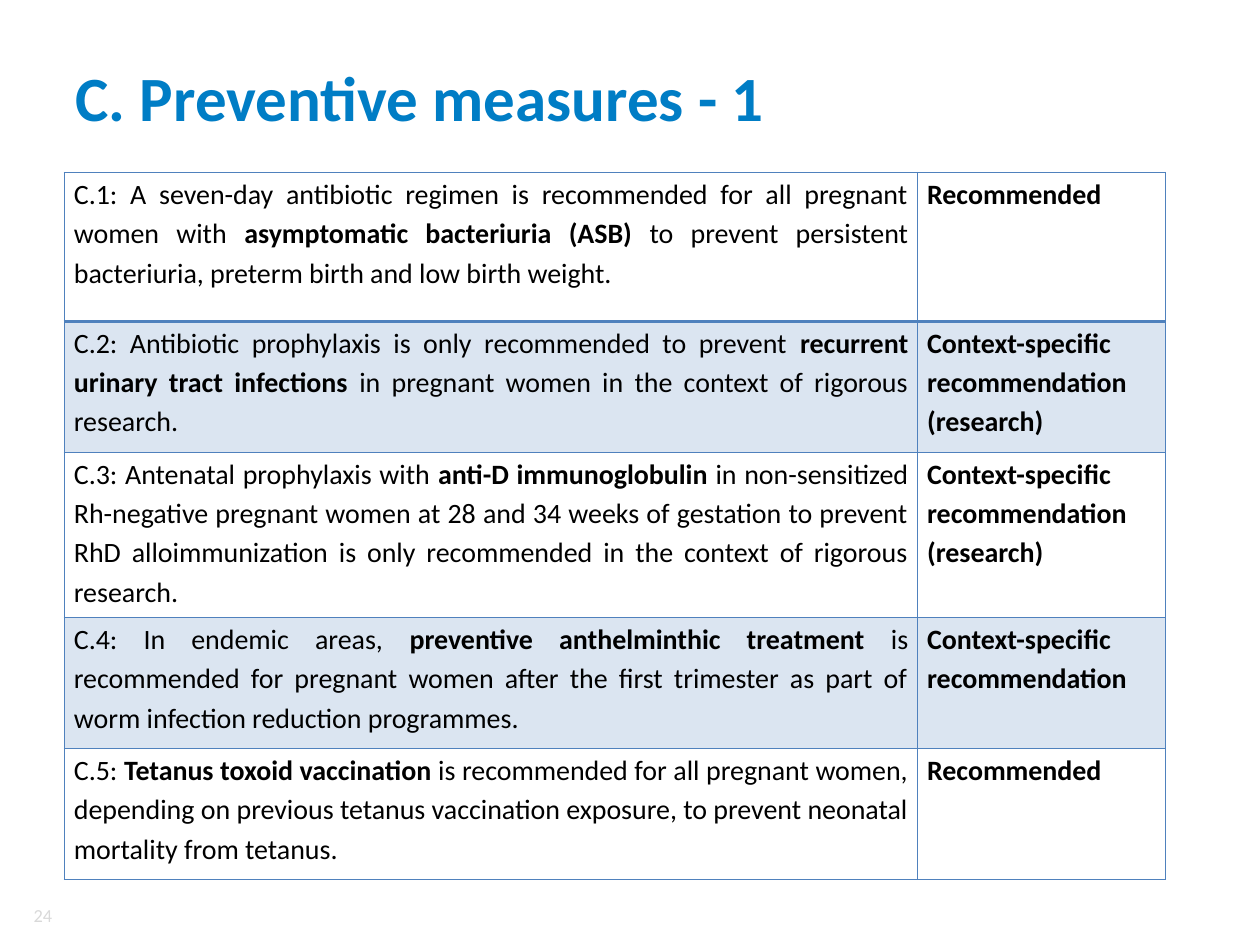
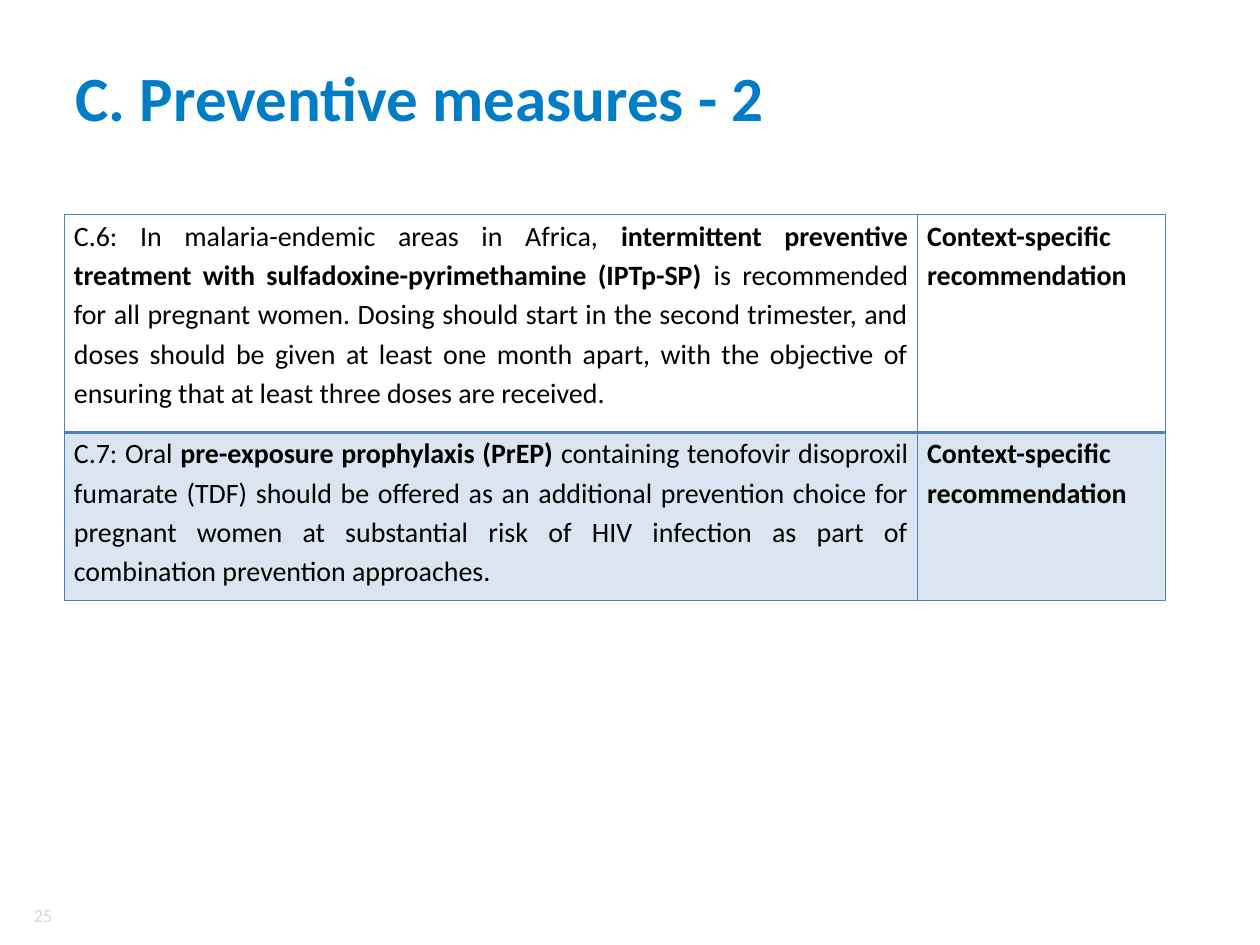
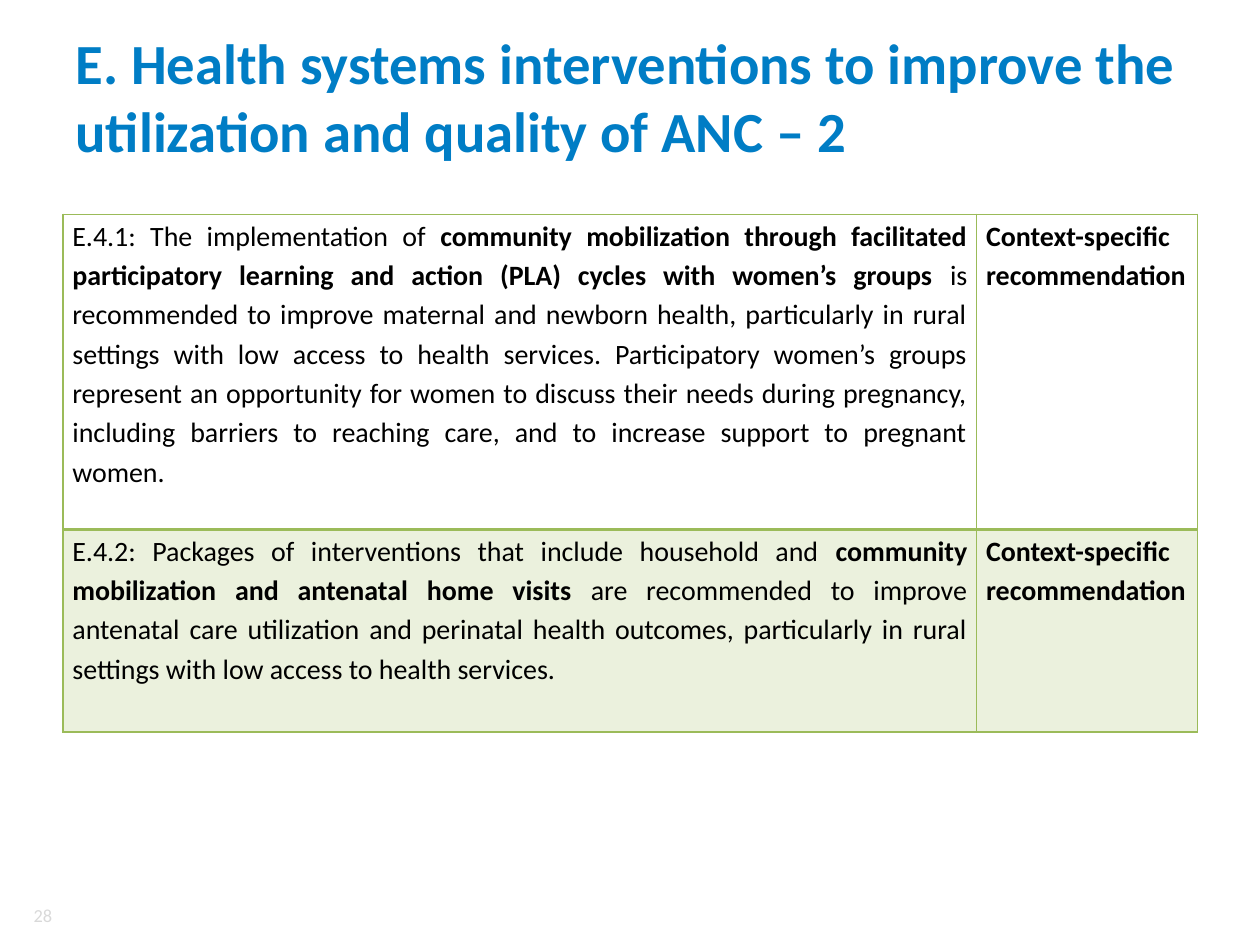
from dataclasses import dataclass

from lxml import etree
from pptx import Presentation
from pptx.dml.color import RGBColor
from pptx.enum.text import MSO_ANCHOR, MSO_AUTO_SIZE, PP_ALIGN
from pptx.oxml.ns import qn
from pptx.util import Cm, Pt

LEFT, RIGHT, JUSTIFY = PP_ALIGN.LEFT, PP_ALIGN.RIGHT, PP_ALIGN.JUSTIFY
MIDDLE = MSO_ANCHOR.MIDDLE
NO_AUTOFIT = MSO_AUTO_SIZE.NONE

# Shared style
FONT = "Calibri"
TITLE_BLUE = RGBColor(0x00, 0x7D, 0xC5)
BLACK = RGBColor(0x00, 0x00, 0x00)
PALE_GREY = RGBColor(0xD9, 0xD9, 0xD9)
BLUE = RGBColor(0x4F, 0x81, 0xBD)
GREEN = RGBColor(0x9B, 0xBB, 0x59)
BAND_ALPHA = 20
TITLE_ONLY = 5
CELL_INSET = Cm(0.19)

RECOMMENDED = "Recommended"
CONTEXT = "Context-specific recommendation"
RESEARCH = "Context-specific recommendation (research)"


@dataclass
class Row:
    height: float
    lead: str
    key: str
    rest: str
    verdict: str
    align: PP_ALIGN = LEFT


@dataclass
class Page:
    number: int
    title: str
    left: float
    top: float
    widths: tuple[float, float]
    color: RGBColor
    rows: list[Row]
    title_size: float = 36


PAGES = [
    Page(24, "C. Preventive measures - 1", 1.3, 3.48, (17.2, 5), BLUE, [
        Row(3, "C.1: A seven-day antibiotic regimen is recommended for all pregnant women with ",
            "asymptomatic bacteriuria (ASB)",
            " to prevent persistent bacteriuria, preterm birth and low birth weight.",
            RECOMMENDED, JUSTIFY),
        Row(2.64, "C.2: Antibiotic prophylaxis is only recommended to prevent ",
            "recurrent urinary tract infections",
            " in pregnant women in the context of rigorous research.", RESEARCH),
        Row(3.33, "C.3: Antenatal prophylaxis with ", "anti-D immunoglobulin ",
            "in non-sensitized Rh-negative pregnant women at 28 and 34 weeks of gestation "
            "to prevent RhD alloimmunization is only recommended in the context of "
            "rigorous research.", RESEARCH),
        Row(2.64, "C.4: In endemic areas, ", "preventive anthelminthic treatment",
            " is recommended for pregnant women after the first trimester as part of "
            "worm infection reduction programmes.", CONTEXT),
        Row(2.64, "C.5: ", "Tetanus toxoid vaccination",
            " is recommended for all pregnant women, depending on previous tetanus "
            "vaccination exposure, to prevent neonatal mortality from tetanus.",
            RECOMMENDED, JUSTIFY),
    ]),
    Page(25, "C. Preventive measures - 2", 1.3, 4.32, (17.2, 5), BLUE, [
        Row(4.39, "C.6: In malaria-endemic areas in Africa, ",
            "intermittent preventive treatment with sulfadoxine-pyrimethamine (IPTp-SP)",
            " is recommended for all pregnant women. Dosing should start in the second "
            "trimester, and doses should be given at least one month apart, with the "
            "objective of ensuring that at least three doses are received.", CONTEXT),
        Row(3.4, "C.7: Oral ", "pre-exposure prophylaxis (PrEP)",
            " containing tenofovir disoproxil fumarate (TDF) should be offered as an "
            "additional prevention choice for pregnant women at substantial risk of HIV "
            "infection as part of combination prevention approaches.", CONTEXT),
    ]),
    Page(28, "E. Health systems interventions to improve the utilization and quality of ANC – 2",
         1.27, 4.32, (18.42, 4.45), GREEN, [
        Row(6.35, "E.4.1: The implementation of ",
            "community mobilization through facilitated participatory learning and action "
            "(PLA) cycles with women’s groups",
            " is recommended to improve maternal and newborn health, particularly in rural "
            "settings with low access to health services. Participatory women’s groups "
            "represent an opportunity for women to discuss their needs during pregnancy, "
            "including barriers to reaching care, and to increase support to pregnant women.",
            CONTEXT, JUSTIFY),
        Row(4.09, "E.4.2: Packages of interventions that include household and ",
            "community mobilization and antenatal home visits ",
            "are recommended to improve antenatal care utilization and perinatal health "
            "outcomes, particularly in rural settings with low access to health services.",
            CONTEXT, JUSTIFY),
    ], title_size=32.4),
]


def add_run(p, text: str, *, size: float = 16, color: RGBColor = BLACK,
            bold: bool = False) -> None:
    r = p.add_run()
    r.text = text
    r.font.name = FONT
    r.font.size = Pt(size)
    r.font.bold = bold
    r.font.color.rgb = color


def add_title(slide, page: Page) -> None:
    sp = slide.shapes.title
    sp.left, sp.top, sp.width, sp.height = Cm(1.27), Cm(0.76), Cm(22.86), Cm(2.36)
    tf = sp.text_frame
    tf.auto_size = NO_AUTOFIT
    tf.vertical_anchor = MIDDLE
    p = tf.paragraphs[0]
    p.alignment = LEFT
    add_run(p, page.title, size=page.title_size, color=TITLE_BLUE, bold=True)


def add_page_number(slide, number: int) -> None:
    sp = slide.shapes.add_textbox(Cm(0.3), Cm(18.14), Cm(1), Cm(0.6))
    tf = sp.text_frame
    tf.word_wrap = True
    tf.vertical_anchor = MIDDLE
    p = tf.paragraphs[0]
    p.alignment = RIGHT
    add_run(p, str(number), size=10.5, color=PALE_GREY)


def style_cell(cell, row_index: int, color: RGBColor) -> None:
    # Borders, with a heavier rule below the first row
    tc_pr = cell._tc.get_or_add_tcPr()
    heavy_side = {0: "lnB", 1: "lnT"}.get(row_index)
    for side in ("lnL", "lnR", "lnT", "lnB"):
        width = Pt(2 if side == heavy_side else 1)
        ln = etree.SubElement(tc_pr, qn(f"a:{side}"), w=str(width))
        fill = etree.SubElement(ln, qn("a:solidFill"))
        etree.SubElement(fill, qn("a:srgbClr"), val=str(color))
    # Translucent band on every second row
    if row_index % 2:
        cell.fill.solid()
        cell.fill.fore_color.rgb = color
        band = tc_pr.find(qn("a:solidFill")).find(qn("a:srgbClr"))
        etree.SubElement(band, qn("a:alpha"), val=str(BAND_ALPHA * 1000))
    else:
        cell.fill.background()
    cell.margin_left = cell.margin_right = CELL_INSET
    cell.margin_top = cell.margin_bottom = 0


def cell_paragraph(cell, align: PP_ALIGN):
    p = cell.text_frame.paragraphs[0]
    p.alignment = align
    p.line_spacing = 1.15
    p.space_before = Pt(6)
    return p


def add_recommendations(slide, page: Page) -> None:
    table = slide.shapes.add_table(
        len(page.rows), len(page.widths), Cm(page.left), Cm(page.top),
        Cm(sum(page.widths)), Cm(sum(row.height for row in page.rows))).table
    table.first_row = table.horz_banding = False
    for column, width in zip(table.columns, page.widths):
        column.width = Cm(width)
    for i, row in enumerate(page.rows):
        table.rows[i].height = Cm(row.height)
        advice, verdict = table.cell(i, 0), table.cell(i, 1)
        for cell in (advice, verdict):
            style_cell(cell, i, page.color)
        p = cell_paragraph(advice, JUSTIFY)
        add_run(p, row.lead)
        add_run(p, row.key, bold=True)
        add_run(p, row.rest)
        add_run(cell_paragraph(verdict, row.align), row.verdict, bold=True)


def main() -> None:
    prs = Presentation()
    prs.slide_width, prs.slide_height = Cm(25.4), Cm(19.05)
    for page in PAGES:
        slide = prs.slides.add_slide(prs.slide_layouts[TITLE_ONLY])
        add_page_number(slide, page.number)
        add_title(slide, page)
        add_recommendations(slide, page)
    prs.save("out.pptx")


if __name__ == "__main__":
    main()
